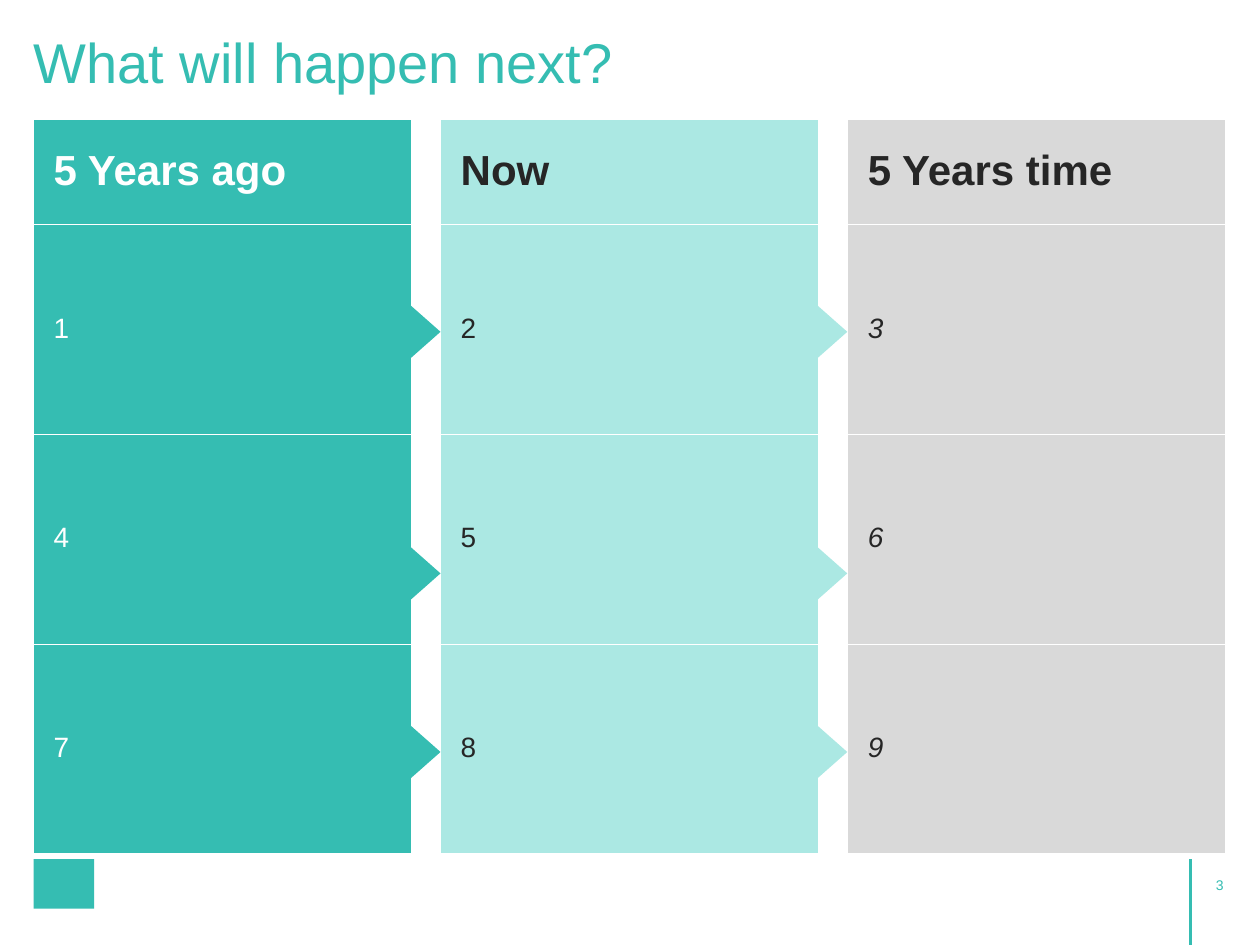
import lxml.etree
import pptx
import pptx.dml.color
import pptx.enum.shapes
import pptx.enum.text
import pptx.oxml
import pptx.oxml.ns
import pptx.util

Cm, Pt = pptx.util.Cm, pptx.util.Pt
SHAPES = pptx.enum.shapes.MSO_SHAPE
ALIGN = pptx.enum.text.PP_ALIGN
MIDDLE = pptx.enum.text.MSO_ANCHOR.MIDDLE
COLORS = {"teal": "35BDB2", "mint": "ABE8E3", "gray": "D9D9D9",
          "white": "FFFFFF", "dark": "262626"}
NO_STYLE = "{2D5ABB26-0587-4C30-8999-92F81FD0307C}"
BORDER = (f'<a:lnB {pptx.oxml.ns.nsdecls("a")} w="12700"><a:solidFill>'
          f'<a:srgbClr val="{COLORS["white"]}"/></a:solidFill></a:lnB>')


def write(text_frame, text, color, font_format, paragraph_format):
    text_frame.text = text
    paragraph = text_frame.paragraphs[0]
    font = paragraph.runs[0].font
    font.color.rgb = pptx.dml.color.RGBColor.from_string(COLORS[color])
    for target, values in ((font, font_format), (paragraph, paragraph_format)):
        for name, value in values.items():
            setattr(target, name, value)


def paint(fill, color):
    fill.solid()
    fill.fore_color.rgb = pptx.dml.color.RGBColor.from_string(COLORS[color])


presentation = pptx.Presentation()
presentation.slide_width, presentation.slide_height = Cm(25.4), Cm(19.05)
slide = presentation.slides.add_slide(presentation.slide_layouts[5])

# Title
title = slide.shapes.title
title_format = {"left": Cm(0.68), "top": Cm(0.7), "width": Cm(24), "height": Cm(1.22)}
for name, value in title_format.items():
    setattr(title, name, value)
frame_format = {"margin_left": 0, "margin_right": 0, "margin_top": 0,
                "margin_bottom": 0, "vertical_anchor": MIDDLE, "word_wrap": True}
for name, value in frame_format.items():
    setattr(title.text_frame, name, value)
write(title.text_frame, "What will happen next?", "teal",
      {"size": Pt(32), "name": "Arial"},
      {"alignment": ALIGN.LEFT, "line_spacing": 0.9})

# Three periods, separated by narrow empty columns
table_left, table_top = 0.68, 2.42
period_width, gap_width = 7.6, 0.6
header_height, row_height = 2.11, 4.23
periods = [
    ("teal", "white", False, ["5 Years ago", "1", "4", "7"]),
    ("mint", "dark", False, ["Now", "2", "5", "8"]),
    ("gray", "dark", True, ["5 Years time", "3", "6", "9"]),
]
table = slide.shapes.add_table(4, 5, Cm(table_left), Cm(table_top), Cm(24),
                               Cm(header_height + 3 * row_height)).table
table.first_row = table.horz_banding = False
table._tbl.tblPr.find(pptx.oxml.ns.qn("a:tableStyleId")).text = NO_STYLE
for index, column in enumerate(table.columns):
    column.width = Cm(gap_width if index % 2 else period_width)
for index, row in enumerate(table.rows):
    row.height = Cm(row_height if index else header_height)

for period, (fill_color, text_color, italic, texts) in enumerate(periods):
    for row, text in enumerate(texts):
        cell = table.cell(row, 2 * period)
        margin = Cm(0.13 if row else 0.3)
        cell_format = {"margin_left": Cm(0.4), "margin_right": Cm(0.4),
                       "margin_top": margin, "margin_bottom": margin,
                       "vertical_anchor": MIDDLE}
        for name, value in cell_format.items():
            setattr(cell, name, value)
        paint(cell.fill, fill_color)
        write(cell.text_frame, text, text_color,
              {"size": Pt(16 if row else 24), "name": "Arial",
               "bold": row == 0, "italic": italic and row > 0},
              {"line_spacing": 0.9, "space_after": Pt(6)})
for cell in table.iter_cells():
    if cell.fill.type is None:
        cell.fill.background()
    cell._tc.get_or_add_tcPr().insert(0, pptx.oxml.parse_xml(BORDER))

# Arrows that point across the gaps
arrow_base, arrow_height = 1.06, 0.6
for center_y in (6.69, 11.56, 15.16):
    for period, color in enumerate(("teal", "mint")):
        center_x = (table_left + period_width + gap_width / 2
                    + period * (period_width + gap_width))
        arrow = slide.shapes.add_shape(
            SHAPES.ISOSCELES_TRIANGLE, Cm(center_x - arrow_base / 2),
            Cm(center_y - arrow_height / 2), Cm(arrow_base), Cm(arrow_height))
        arrow.rotation = 90
        arrow.shadow.inherit = False
        paint(arrow.fill, color)
        arrow.line.fill.background()

# Footer: emblem, rule and page number
emblem = slide.shapes.add_shape(SHAPES.RECTANGLE, Cm(0.68), Cm(17.32), Cm(1.22), Cm(1))
emblem.shadow.inherit = False
paint(emblem.fill, "teal")
emblem.line.fill.background()

rule = slide.shapes.add_connector(pptx.enum.shapes.MSO_CONNECTOR.STRAIGHT,
                                  Cm(24), Cm(17.32), Cm(24), Cm(19.05))
paint(rule.line.fill, "teal")
rule.line.width = Pt(1.5)
lxml.etree.SubElement(rule._element.spPr, pptx.oxml.ns.qn("a:effectLst"))

page_number = slide.shapes.add_textbox(Cm(24.06), Cm(17.6), Cm(0.86), Cm(0.54))
page_number.text_frame.word_wrap = False
page_number.text_frame.vertical_anchor = MIDDLE
write(page_number.text_frame, "3", "teal", {"size": Pt(8), "name": "Arial"},
      {"alignment": ALIGN.RIGHT, "line_spacing": Pt(8)})

presentation.save("out.pptx")
